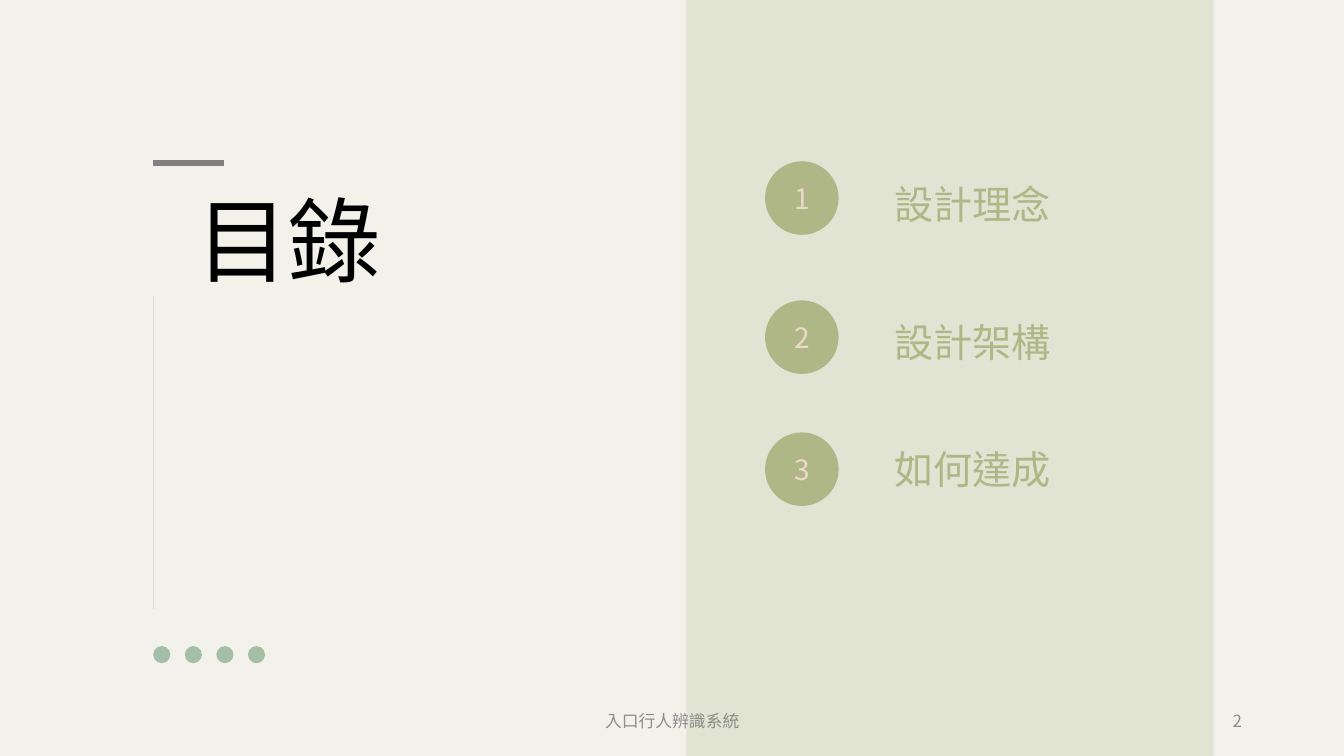
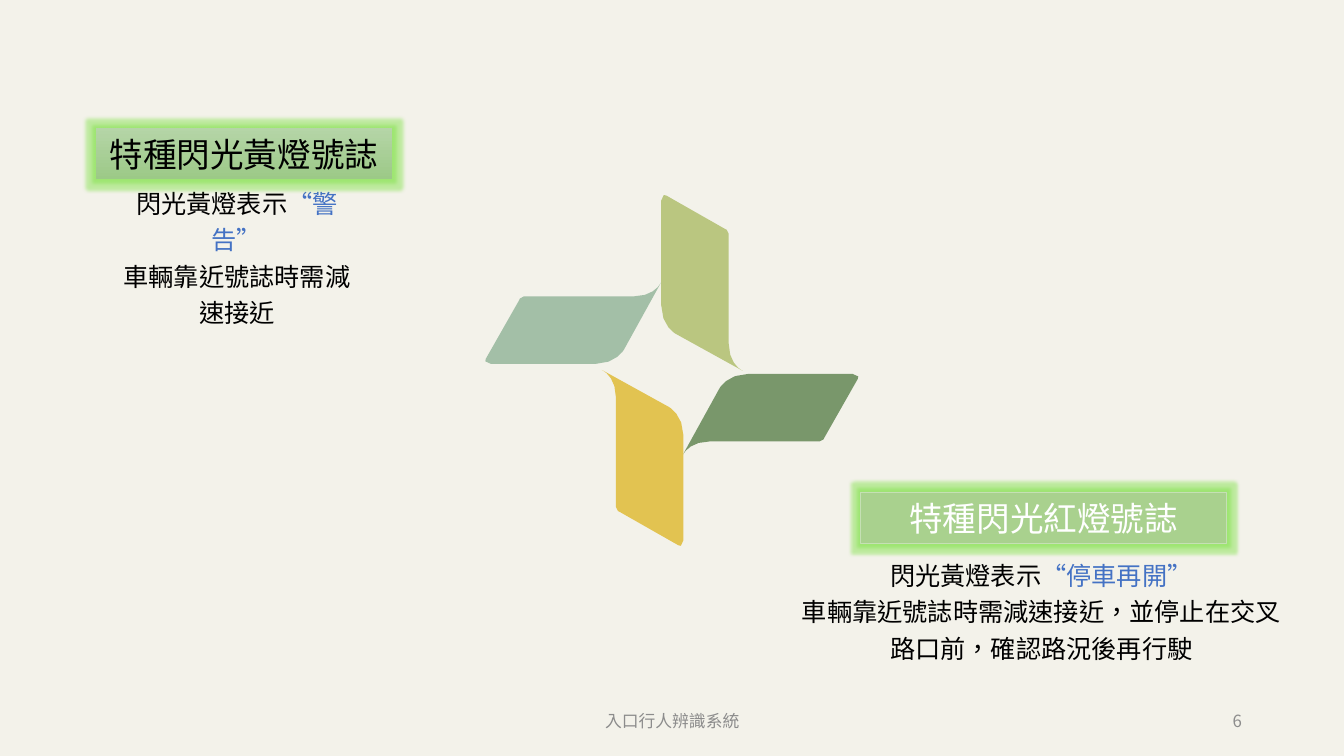
from lxml import etree
from pptx import Presentation
from pptx.dml.color import RGBColor
from pptx.enum import lang, shapes, text
from pptx.oxml import ns
from pptx.util import Inches, Pt

FONT = "Noto Sans CJK SC"
LANGUAGE = lang.MSO_LANGUAGE_ID.TRADITIONAL_CHINESE
FOOTER = "入口行人辨識系統"
CREAM = RGBColor(0xF3, 0xF2, 0xEA)
PANEL = RGBColor(0xE1, 0xE3, 0xD3)
OLIVE = RGBColor(0xB0, 0xB7, 0x86)
PEACH = RGBColor(0xEC, 0xD9, 0xCA)
SAGE = RGBColor(0xA3, 0xBF, 0xA7)
LIME = RGBColor(0xBA, 0xC6, 0x80)
MOSS = RGBColor(0x79, 0x97, 0x6B)
GOLD = RGBColor(0xE2, 0xC3, 0x51)
BLACK = RGBColor(0x00, 0x00, 0x00)
WHITE = RGBColor(0xFF, 0xFF, 0xFF)
BLUE = RGBColor(0x44, 0x72, 0xC4)
HAIRLINE = RGBColor(0xD9, 0xD9, 0xD9)
ACCENT_GRAY = RGBColor(0x80, 0x80, 0x80)
FOOTER_GRAY = RGBColor(0x8C, 0x8C, 0x8C)
BANNER_TOP = RGBColor(0xB5, 0xD5, 0xA7)
BANNER_BOTTOM = RGBColor(0x9C, 0xC9, 0x87)
BANNER_GREEN = RGBColor(0xA9, 0xD1, 0x8E)
BANNER_EDGE = RGBColor(0xC5, 0xE0, 0xB4)
GLOW = RGBColor(0x70, 0xE0, 0x30)

CENTER = text.PP_ALIGN.CENTER
RIGHT = text.PP_ALIGN.RIGHT
TOP = text.MSO_ANCHOR.TOP
MIDDLE = text.MSO_ANCHOR.MIDDLE
BOTTOM = text.MSO_ANCHOR.BOTTOM
RECTANGLE = shapes.MSO_SHAPE.RECTANGLE
OVAL = shapes.MSO_SHAPE.OVAL

BLADE_CURVES = [
    (5, [(0, 0), (0, 0), (-0.06, 0.14), (-0.27, 0.14)]),
    (2, [(-1.36, 0.14), (-1.4, 0.14), (-1.41, 0.18), (-1.41, 0.18)]),
    (2, [(-1.74, 0.76), (-1.74, 0.76), (-1.77, 0.81), (-1.69, 0.81)]),
    (4, [(-0.65, 0.81), (-0.45, 0.81), (-0.37, 0.67), (-0.37, 0.67)]),
]


def style_paragraph(paragraph, size, color, align=CENTER, spacing=None):
    paragraph.alignment = align
    if spacing:
        paragraph.line_spacing = spacing
    font = paragraph.font
    font.size = Pt(size)
    font.name = FONT
    font.color.rgb = color
    properties = paragraph._p.get_or_add_pPr().get_or_add_defRPr()
    etree.SubElement(properties, ns.qn("a:ea"), typeface=FONT)
    for run in paragraph.runs:
        run.font.language_id = LANGUAGE


def add_text(slide, box, content, size, color, align=CENTER, anchor=TOP, spacing=None):
    shape = slide.shapes.add_textbox(*map(Inches, box))
    frame = shape.text_frame
    frame.word_wrap = True
    frame.vertical_anchor = anchor
    frame.text = content
    for paragraph in frame.paragraphs:
        style_paragraph(paragraph, size, color, align, spacing)
    return shape


def add_plain_shape(slide, kind, box, color):
    shape = slide.shapes.add_shape(kind, *map(Inches, box))
    shape.shadow.inherit = False
    shape.fill.solid()
    shape.fill.fore_color.rgb = color
    shape.line.fill.background()
    return shape


def add_line(slide, start, end, color, width):
    line = slide.shapes.add_connector(
        shapes.MSO_CONNECTOR.STRAIGHT, *map(Inches, start + end))
    line.line.color.rgb = color
    line.line.width = Pt(width)
    etree.SubElement(line._element.spPr, ns.qn("a:effectLst"))


def add_agenda_item(slide, number, label, circle_top, label_top):
    circle = add_plain_shape(slide, OVAL, (7.59, circle_top, 0.73, 0.73), OLIVE)
    circle.text_frame.text = str(number)
    circle.text_frame.vertical_anchor = MIDDLE
    style_paragraph(circle.text_frame.paragraphs[0], 20, PEACH)
    add_text(slide, (8.34, label_top, 2.62, 0.64), label, 28, OLIVE, spacing=1.2)


def curve_points(steps, controls):
    for step in range(steps + 1):
        t = step / steps
        weights = ((1 - t) ** 3, 3 * t * (1 - t) ** 2, 3 * t * t * (1 - t), t ** 3)
        yield tuple(sum(weight * point[axis] for weight, point in zip(weights, controls))
                    for axis in (0, 1))


def add_blade(slide, tip, quarter_turns, color):
    points = [point for curve in BLADE_CURVES for point in curve_points(*curve)]
    for _ in range(quarter_turns):
        points = [(-y, x) for x, y in points]
    outline = [(Inches(tip[0] + x), Inches(tip[1] + y)) for x, y in points]
    builder = slide.shapes.build_freeform(*outline[0])
    builder.add_line_segments(outline[1:], close=True)
    blade = builder.convert_to_shape()
    blade.shadow.inherit = False
    blade.fill.solid()
    blade.fill.fore_color.rgb = color
    blade.line.fill.background()


def add_banner(slide, box, title, color):
    banner = add_plain_shape(slide, RECTANGLE, box, BANNER_GREEN)
    effects = banner._element.spPr.find(ns.qn("a:effectLst"))
    glow = etree.SubElement(effects, ns.qn("a:glow"), rad=str(Pt(5)))
    glow_color = etree.SubElement(glow, ns.qn("a:srgbClr"), val=str(GLOW))
    etree.SubElement(glow_color, ns.qn("a:alpha"), val="40000")
    frame = banner.text_frame
    frame.word_wrap = False
    frame.vertical_anchor = MIDDLE
    frame.text = title
    style_paragraph(frame.paragraphs[0], 24, color)
    return banner


def add_signal_note(slide, box, lead, keyword, detail):
    note = add_text(slide, box, f"{lead}\n{detail}", 18, BLACK, spacing=1.2)
    run = note.text_frame.paragraphs[0].add_run()
    run.text = keyword
    run.font.color.rgb = BLUE
    run.font.language_id = LANGUAGE


def add_base_slide(presentation):
    slide = presentation.slides.add_slide(presentation.slide_layouts[6])
    slide.background.fill.solid()
    slide.background.fill.fore_color.rgb = CREAM
    return slide


def add_footer(slide, number):
    add_text(slide, (4.42, 6.95, 4.5, 0.4), FOOTER, 12, FOOTER_GRAY, anchor=MIDDLE)
    add_text(slide, (9.42, 6.95, 3, 0.4), str(number), 12, FOOTER_GRAY, RIGHT, MIDDLE)


def build_agenda(presentation):
    slide = add_base_slide(presentation)
    add_plain_shape(slide, RECTANGLE, (6.81, 0, 5.23, 7.5), PANEL)
    add_line(slide, (1.52, 2.94), (1.52, 6.04), HAIRLINE, 0.25)
    add_line(slide, (1.52, 1.62), (2.22, 1.62), ACCENT_GRAY, 4.5)
    for index in range(4):
        add_plain_shape(slide, OVAL, (1.52 + index * 0.94 / 3, 6.41, 0.17, 0.17), SAGE)
    items = [("設計理念", 1.6, 1.65), ("設計架構", 2.98, 3.02), ("如何達成", 4.29, 4.28)]
    for number, item in enumerate(items, 1):
        add_agenda_item(slide, number, *item)
    add_text(slide, (1.52, 1.67, 2.69, 1.3), "目錄", 66, BLACK, anchor=BOTTOM)
    add_footer(slide, 2)


def build_signals(presentation):
    slide = add_base_slide(presentation)
    blades = [((6.56, 2.8), SAGE), ((7.37, 3.68), LIME),
              ((6.77, 4.52), MOSS), ((5.97, 3.67), GOLD)]
    for quarter_turns, (tip, color) in enumerate(blades):
        add_blade(slide, tip, quarter_turns, color)

    add_signal_note(slide, (1.02, 1.76, 2.66, 1.13), "閃光黃燈表示", "“警告”",
                    "車輛靠近號誌時需減速接近")
    yellow = add_banner(slide, (0.95, 1.27, 2.94, 0.51), "特種閃光黃燈號誌", BLACK)
    yellow.fill.gradient()
    yellow.fill.gradient_angle = 270
    for stop, color in zip(yellow.fill.gradient_stops, (BANNER_TOP, BANNER_BOTTOM)):
        stop.color.rgb = color

    add_signal_note(slide, (7.85, 5.45, 4.96, 1.14), "閃光黃燈表示", "“停車再開”",
                    "車輛靠近號誌時需減速接近，並停止在交叉路口前，確認路況後再行駛")
    red = add_banner(slide, (8.54, 4.88, 3.63, 0.51), "特種閃光紅燈號誌", WHITE)
    red.line.color.rgb = BANNER_EDGE
    red.line.width = Pt(0.5)
    add_footer(slide, 6)


def main():
    presentation = Presentation()
    presentation.slide_width = Inches(40 / 3)
    presentation.slide_height = Inches(7.5)
    build_agenda(presentation)
    build_signals(presentation)
    presentation.save("out.pptx")


if __name__ == "__main__":
    main()
